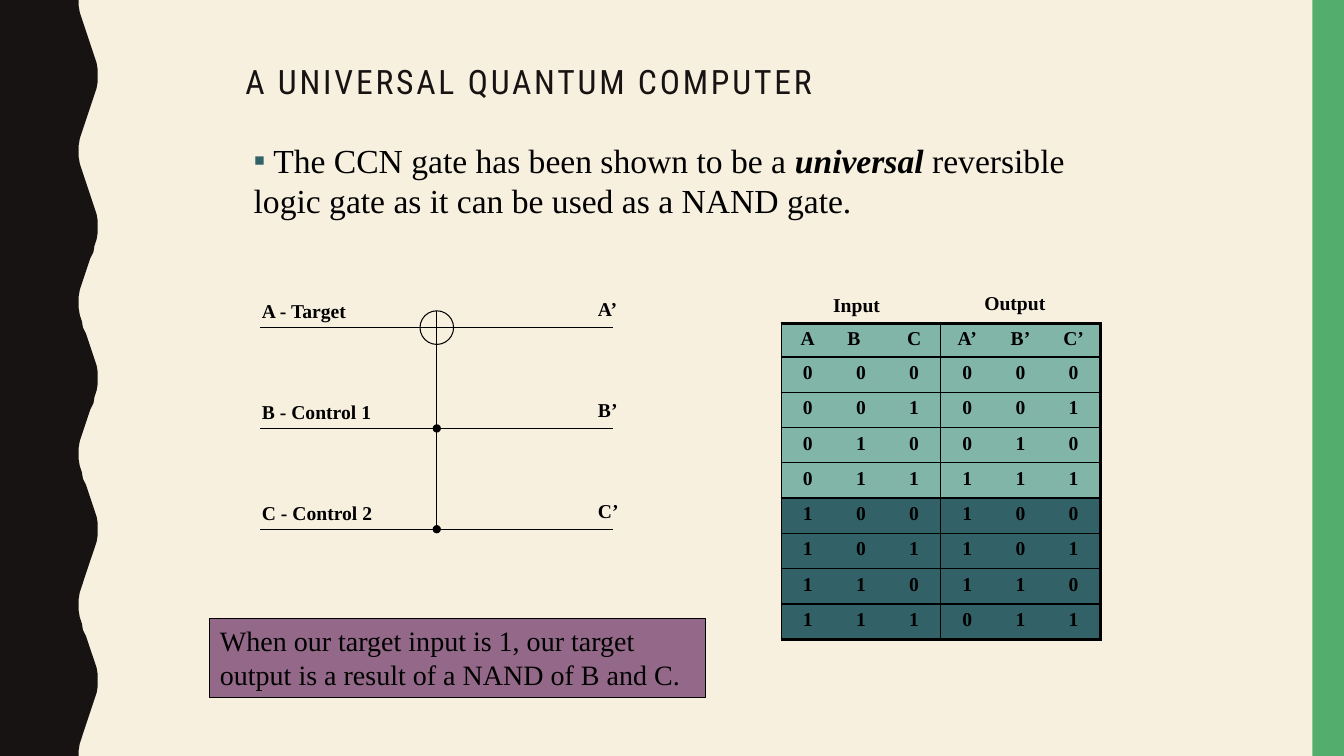
"""Build a slide on the CCN gate as a universal reversible gate."""
import math
import lxml.etree
import pptx
import pptx.dml.color
import pptx.enum.shapes
import pptx.enum.text
import pptx.oxml.ns
import pptx.util

PX = 9525
WIDE, HIGH = 1280, 720
SERIF, SANS = "Times New Roman", "Roboto Condensed"
HUES = {"page": "F7F0DF", "dark": "171312", "green": "53AE6E", "ink": "000000",
        "pale": "81B5A8", "teal": "326267", "plum": "936888"}
SHAPE = pptx.enum.shapes.MSO_SHAPE
ALIGN = pptx.enum.text.PP_ALIGN
ANCHOR = pptx.enum.text.MSO_ANCHOR
LEFT, MID, RIGHT = 248, 416, 584
WIRES = [("A", "A - Target"), ("B", "B - Control 1"), ("C", "C - Control 2")]
TOP, STEP, RING = 312, 96, 16


def px(*nums):
    """Turn px into EMU."""
    return [pptx.util.Emu(num * PX) for num in nums]


def hue(name):
    """Return a named colour."""
    return pptx.dml.color.RGBColor.from_string(HUES[name])


def node(base, tag, **attrs):
    """Add an XML child in the drawing namespace."""
    return lxml.etree.SubElement(base, pptx.oxml.ns.qn("a:" + tag), attrs)


def add_run(para, text, size, font=SERIF, tint="ink", bold=False, slant=False):
    """Add one styled run."""
    run = para.add_run()
    run.text = text
    face = run.font
    face.size, face.name = pptx.util.Pt(size), font
    face.bold, face.italic = bold, slant
    face.color.rgb = hue(tint)
    return run


def set_frame(shape, anchor=ANCHOR.TOP):
    """Set wrap and anchor, and return the first paragraph."""
    frame = shape.text_frame
    frame.word_wrap = True
    frame.auto_size = pptx.enum.text.MSO_AUTO_SIZE.NONE
    frame.vertical_anchor = anchor
    para = frame.paragraphs[0]
    para.alignment = ALIGN.LEFT
    para.space_before = pptx.util.Pt(0)
    return para


def place(shape, *box):
    """Move a placeholder to a box."""
    shape.left, shape.top, shape.width, shape.height = px(*box)


def add_title(slide):
    """Fill the title."""
    title = slide.shapes.title
    place(title, 224, 56, 864, 48)
    para = set_frame(title, ANCHOR.MIDDLE)
    para.line_spacing = 0.9
    run = add_run(para, "A UNIVERSAL QUANTUM COMPUTER", 24, SANS, "dark")
    run.font._element.set("spc", "200")


def add_body(slide):
    """Fill the bulleted claim."""
    body = slide.placeholders[1]
    place(body, 232, 128, 816, 87)
    para = set_frame(body)
    props = para._p.get_or_add_pPr()
    props.set("marL", "0")
    props.set("indent", "0")
    node(node(props, "buClr"), "srgbClr", val=HUES["teal"])
    node(props, "buChar", char="▪")
    add_run(para, " The CCN gate has been shown to be a ", 24)
    add_run(para, "universal ", 24, bold=True, slant=True)
    add_run(para, "reversible logic gate as it can be used as a NAND gate.", 24)


def paint(shape, fill=None, line=None):
    """Set the fill and line of a shape."""
    shape.shadow.inherit = False
    if fill:
        shape.fill.solid()
        shape.fill.fore_color.rgb = hue(fill)
    else:
        shape.fill.background()
    if line:
        shape.line.color.rgb = hue(line)
        shape.line.width = pptx.util.Pt(0.75)
    else:
        shape.line.fill.background()


def add_shape(slide, kind, box, fill=None, line=None):
    """Add a preset shape."""
    shape = slide.shapes.add_shape(kind, *px(*box))
    paint(shape, fill, line)
    return shape


def add_wave(slide):
    """Draw the dark wavy edge."""
    pen = slide.shapes.build_freeform(0, 0, scale=PX)
    edge = [(84 - 9 * math.cos(math.tau * y / 144), y) for y in range(0, HIGH + 1, 6)]
    pen.add_line_segments(edge + [(0, HIGH)], close=True)
    paint(pen.convert_to_shape(), "dark")


def add_label(slide, text, *box):
    """Add a small bold label."""
    label = slide.shapes.add_textbox(*px(*box))
    add_run(set_frame(label), text, 14, bold=True)


def add_line(slide, *ends, dot=False):
    """Add a thin line, with a dot at its end if asked."""
    line = slide.shapes.add_connector(pptx.enum.shapes.MSO_CONNECTOR.STRAIGHT, *px(*ends))
    line.line.color.rgb = hue("ink")
    line.line.width = pptx.util.Pt(0.75)
    if dot:
        node(line.line._get_or_add_ln(), "tailEnd", type="oval")
    node(line._element.spPr, "effectLst")


def add_gate(slide):
    """Draw the three wires and the gate on them."""
    add_shape(slide, SHAPE.FLOWCHART_OR, (MID - RING, TOP - RING, 2 * RING, 2 * RING), line="ink")
    for row, (name, text) in enumerate(WIRES):
        y = TOP + row * STEP
        if row:
            add_line(slide, LEFT, y, RIGHT, y)
            start = y - STEP + (RING if row == 1 else 0)
            add_line(slide, MID, start, MID, y, dot=True)
        else:
            add_line(slide, MID - RING, y, LEFT, y)
            add_line(slide, RIGHT, y, MID + RING, y)
        add_label(slide, text, 240, y - 32, 128, 32)
        add_label(slide, name + "’", 560, y - 34, 50, 32)


def set_edge(cell, side, width):
    """Draw one cell border, or none for zero width."""
    line = node(cell._tc.get_or_add_tcPr(), "ln" + side, w=str(pptx.util.Pt(width)))
    if width:
        node(node(line, "solidFill"), "srgbClr", val=HUES["ink"])
    else:
        node(line, "noFill")


def add_truth(slide):
    """Add the truth table of the gate."""
    rows = [["A", "B", "C", "A’", "B’", "C’"]]
    for num in range(8):
        a, b, c = num >> 2, num >> 1 & 1, num & 1
        rows.append([a, b, c, a ^ (b & c), b, c])
    table = slide.shapes.add_table(9, 6, *px(744, 308, 304, 301)).table
    for col in table.columns:
        col.width = pptx.util.Emu(304 * PX // 6)
    for r, row in enumerate(rows):
        table.rows[r].height = pptx.util.Emu(269 * PX // 8 if r else 32 * PX)
        for c, text in enumerate(row):
            cell = table.cell(r, c)
            set_edge(cell, "L", 1 if c in (0, 3) else 0)
            set_edge(cell, "R", {2: 1, 5: 2.25}.get(c, 0))
            set_edge(cell, "T", 1 if r else 2.25)
            set_edge(cell, "B", 2.25 if r == 8 else 1)
            cell.fill.solid()
            cell.fill.fore_color.rgb = hue("teal" if r > 4 else "pale")
            if text == "B":
                cell.margin_right = px(23)[0]
            para = cell.text_frame.paragraphs[0]
            para.alignment = ALIGN.CENTER
            add_run(para, str(text), 14, bold=True)
    add_label(slide, "Input", 784, 274, 70, 32)
    add_label(slide, "Output", 928, 272, 88, 32)


def add_note(slide):
    """Add the boxed result."""
    note = add_shape(slide, SHAPE.RECTANGLE, (200, 589, 472, 75), "plum", "ink")
    text = "When our target input is 1, our target output is a result of a NAND of B and C."
    add_run(set_frame(note), text, 20)


def main():
    """Build and save the deck."""
    deck = pptx.Presentation()
    deck.slide_width, deck.slide_height = px(WIDE, HIGH)
    slide = deck.slides.add_slide(deck.slide_layouts[1])
    slide.background.fill.solid()
    slide.background.fill.fore_color.rgb = hue("page")
    add_wave(slide)
    add_shape(slide, SHAPE.RECTANGLE, (1250, 0, 30, HIGH), "green")
    add_title(slide)
    add_body(slide)
    add_gate(slide)
    add_truth(slide)
    add_note(slide)
    deck.save("out.pptx")


if __name__ == "__main__":
    main()
